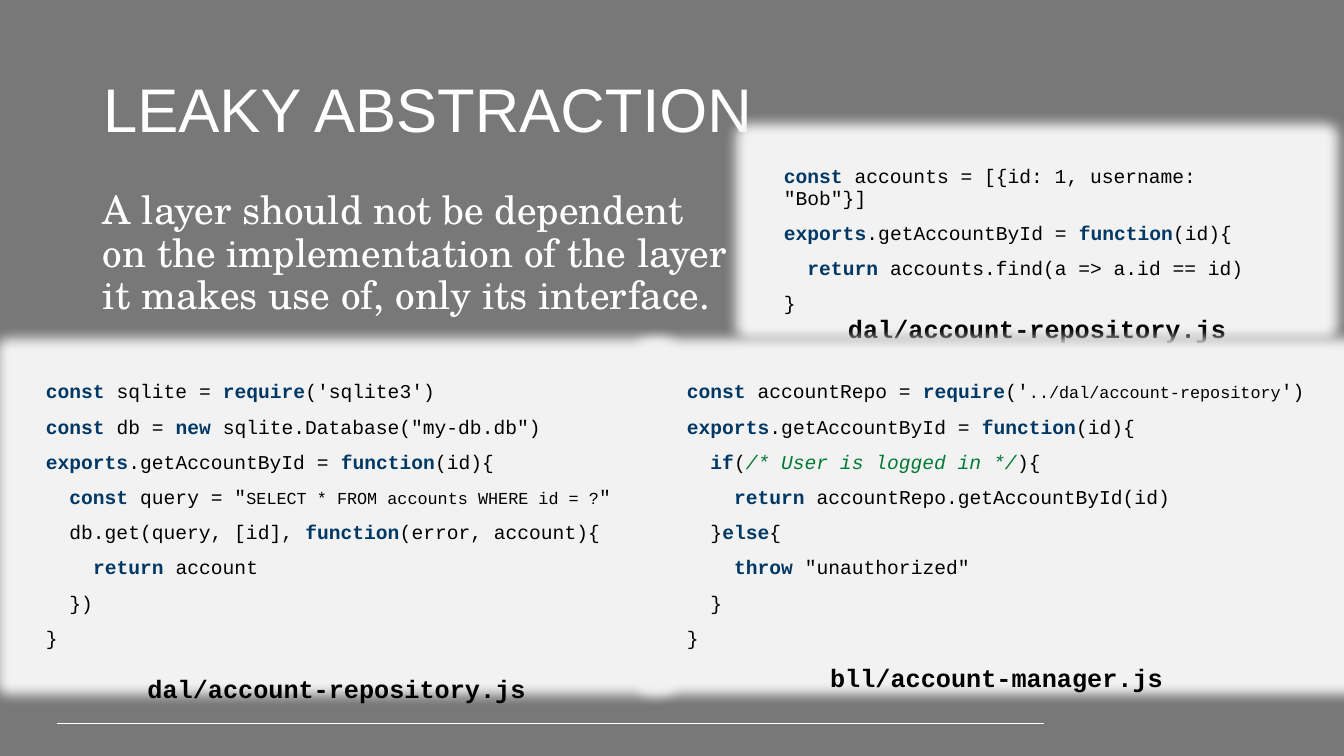
from dataclasses import dataclass

from lxml.etree import SubElement
from pptx import Presentation
from pptx.dml.color import RGBColor as RGB
from pptx.enum.shapes import MSO_CONNECTOR as Connector, MSO_SHAPE as Shape
from pptx.enum.text import MSO_ANCHOR as Anchor, MSO_AUTO_SIZE as AutoSize, PP_ALIGN as Align
from pptx.oxml.ns import qn
from pptx.util import Emu, Pt

WIDTH, HEIGHT = 1344, 756
EMU_PER_PX = 12192000 / WIDTH


@dataclass(frozen=True)
class Theme:
    background: str = "787878"
    light: str = "FFFFFF"
    panel: str = "F2F2F2"
    ink: str = "000000"
    keyword: str = "003865"
    comment: str = "007A33"
    title_font: str = "Arial"
    body_font: str = "TeX Gyre Schola"
    code_font: str = "Courier New"
    title_size: int = 44
    body_size: int = 28
    caption_size: int = 18
    code_size: int = 14
    small_size: int = 12
    glow: int = 25


THEME = Theme()
CODE = dict(name=THEME.code_font, size=Pt(THEME.code_size), color=THEME.ink, bold=False)
# Code styles, chosen by the letter that opens a `marked` part of a line
STYLES = {
    "k": CODE | dict(color=THEME.keyword, bold=True),
    "c": CODE | dict(color=THEME.comment, italic=True),
    "s": CODE | dict(size=Pt(THEME.small_size)),
}

MEMORY_REPOSITORY = [
    '`k|const `accounts = [{id: 1, username: "Bob"}]',
    "`k|exports`.getAccountById = `k|function`(id){",
    "  `k|return `accounts.find(a => a.id == id)",
    "}",
]
SQLITE_REPOSITORY = [
    "`k|const `sqlite = `k|require`('sqlite3')",
    '`k|const `db = `k|new `sqlite.Database("my-db.db")',
    "`k|exports`.getAccountById = `k|function`(id){",
    '  `k|const `query = "`s|SELECT * FROM accounts WHERE id = ?`"',
    "  db.get(query, [id], `k|function`(error, account){",
    "    `k|return `account",
    "  })",
    "}",
]
ACCOUNT_MANAGER = [
    "`k|const `accountRepo = `k|require`('`s|../dal/account-repository`')",
    "`k|exports`.getAccountById = `k|function`(id){",
    "  `k|if`(`c|/* User is logged in */`){",
    "    `k|return `accountRepo.getAccountById(id)",
    "  }`k|else`{",
    '    `k|throw` "unauthorized"',
    "  }",
    "}",
]


def px(*lengths):
    return [Emu(round(length * EMU_PER_PX)) for length in lengths]


def apply(target, values):
    for key, value in values.items():
        if key == "color":
            target.color.rgb = RGB.from_string(value)
        else:
            setattr(target, key, value)


def prepare(frame, anchor=Anchor.TOP):
    apply(frame, dict(word_wrap=True, auto_size=AutoSize.NONE, vertical_anchor=anchor))


def add_run(paragraph, text, style):
    run = paragraph.add_run()
    run.text = text
    apply(run.font, style)


def write(frame, text, style, **layout):
    paragraph = frame.paragraphs[0]
    apply(paragraph, layout)
    add_run(paragraph, text, style)


def add_heading(slide, box, text):
    title = slide.shapes.title
    apply(title, dict(zip(("left", "top", "width", "height"), px(*box))))
    prepare(title.text_frame, Anchor.MIDDLE)
    style = dict(name=THEME.title_font, size=Pt(THEME.title_size), color=THEME.light)
    write(title.text_frame, text, style, alignment=Align.LEFT, line_spacing=0.9)


def add_statement(slide, box, text):
    statement = slide.shapes.add_textbox(*px(*box)).text_frame
    prepare(statement)
    style = dict(name=THEME.body_font, size=Pt(THEME.body_size), color=THEME.light)
    write(statement, text, style, line_spacing=0.9)


def add_code(slide, box, lines):
    panel = slide.shapes.add_shape(Shape.RECTANGLE, *px(*box))
    panel.fill.solid()
    panel.fill.fore_color.rgb = RGB.from_string(THEME.panel)
    panel.line.fill.background()
    panel.shadow.inherit = False
    # Soft edge around the panel
    effects = panel._element.spPr.find(qn("a:effectLst"))
    glow = SubElement(effects, qn("a:glow"), rad=str(px(THEME.glow)[0]))
    SubElement(glow, qn("a:srgbClr"), val=THEME.panel)

    frame = panel.text_frame
    prepare(frame)
    for number, line in enumerate(lines):
        paragraph = frame.add_paragraph() if number else frame.paragraphs[0]
        apply(paragraph, dict(alignment=Align.LEFT, line_spacing=0.9))
        if number:
            paragraph.space_before = Pt(10)
        for index, part in enumerate(line.split("`")):
            if index % 2:
                add_run(paragraph, part[2:], STYLES[part[0]])
            elif part:
                add_run(paragraph, part, CODE)


def add_snippet(slide, box, lines, file_name, gap, outdent=0):
    """Code panel with its file name below, which may start further left."""
    left, top, width, height = box
    add_code(slide, box, lines)
    caption_box = px(left - outdent, top + height + gap, width + outdent, 40)
    caption = slide.shapes.add_textbox(*caption_box).text_frame
    prepare(caption)
    style = CODE | dict(size=Pt(THEME.caption_size), bold=True)
    write(caption, file_name, style, alignment=Align.CENTER)


def add_footer_rule(slide, left, right, y):
    rule = slide.shapes.add_connector(Connector.STRAIGHT, *px(left, y, right, y))
    apply(rule.line, dict(color=THEME.light, width=Pt(0.75)))
    SubElement(rule._element.spPr, qn("a:effectLst"))


def build_slide(deck):
    slide = deck.slides.add_slide(deck.slide_layouts[5])
    slide.background.fill.solid()
    slide.background.fill.fore_color.rgb = RGB.from_string(THEME.background)

    add_footer_rule(slide, 57, 1044, 724)
    add_heading(slide, (93, 40, 1139, 146), "LEAKY ABSTRACTION")
    add_statement(slide, (93, 186, 649, 138),
                  "A layer should not be dependent on the implementation "
                  "of the layer it makes use of, only its interface.")
    # Data access layer in memory, the same layer on a database, business layer
    repository = "dal/account-repository.js"
    add_snippet(slide, (774, 162, 526, 139), MEMORY_REPOSITORY, repository, gap=7)
    add_snippet(slide, (36, 377, 601, 280), SQLITE_REPOSITORY, repository, gap=11)
    add_snippet(slide, (677, 377, 650, 280), ACCOUNT_MANAGER,
                "bll/account-manager.js", gap=0, outdent=11)


def main():
    deck = Presentation()
    deck.slide_width, deck.slide_height = px(WIDTH, HEIGHT)
    build_slide(deck)
    deck.save("out.pptx")


if __name__ == "__main__":
    main()
